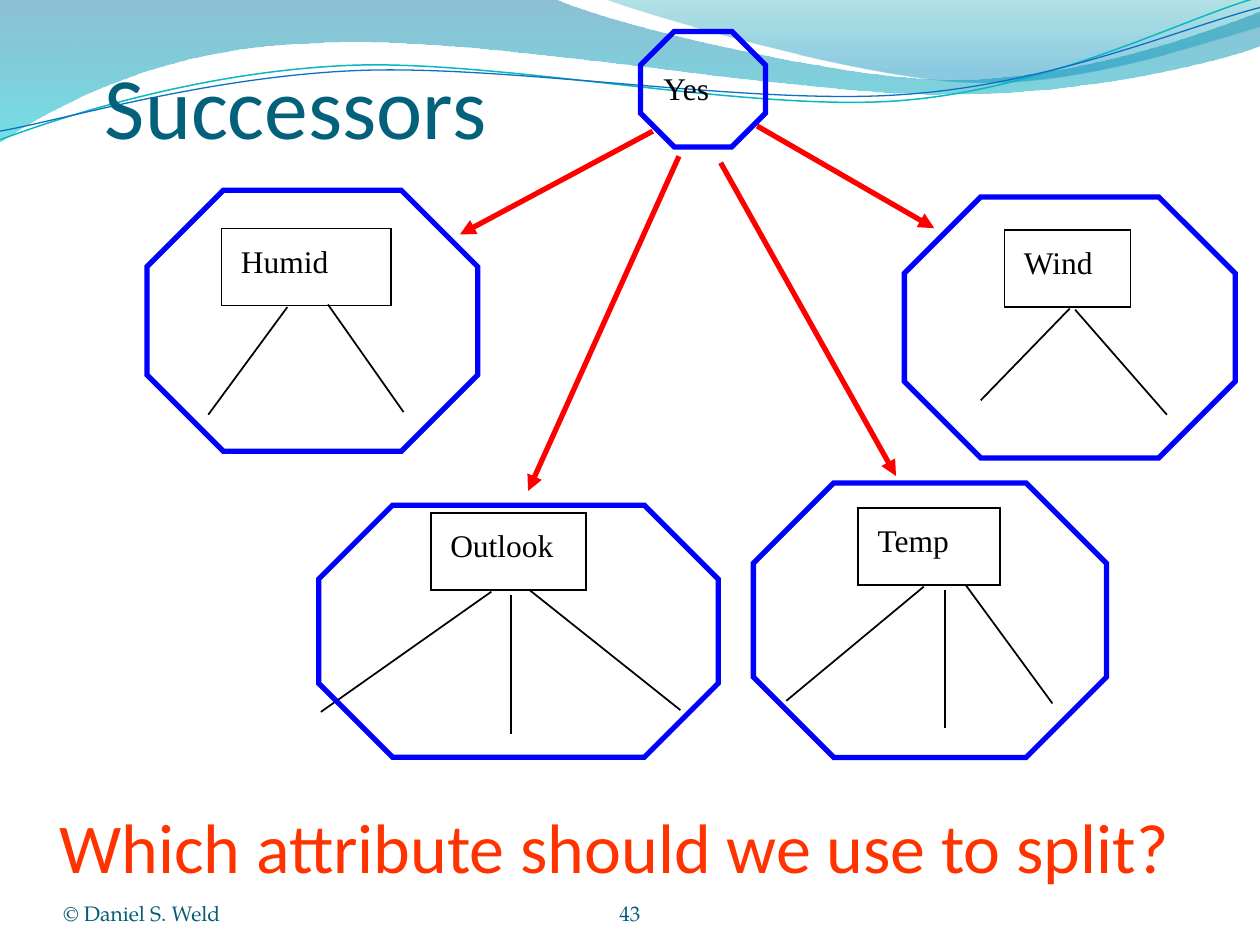
from lxml import etree
from pptx import Presentation
from pptx import util as u
from pptx.dml.color import RGBColor
from pptx.enum import shapes, text
from pptx.oxml.ns import qn

Pt = u.Pt
COLORS = {
    "title": "04617B", "footer": "045D75", "question": "FF3300",
    "ink": "000000", "node": "0000FF", "arrow": "FF0000",
    "deep": "0074A1", "cyan": "00C6CF", "teal": "00A1A9", "sky": "008BBF",
    "thread": "0AB8BF", "blue": "0F6FC6",
}
RGB = {name: RGBColor.from_string(value) for name, value in COLORS.items()}

prs = Presentation()
prs.slide_width, prs.slide_height = Pt(720), Pt(540)
s = prs.slides.add_slide(prs.slide_layouts[6])


def add_text(words, x, y, w, h, size=18, font="Times New Roman", color="ink",
             align="LEFT", anchor="TOP", insets=(7.2, 3.6, 7.2, 3.6), wrap=True):
    tf = s.shapes.add_textbox(Pt(x), Pt(y), Pt(w), Pt(h)).text_frame
    tf.word_wrap = wrap
    tf.vertical_anchor = text.MSO_ANCHOR[anchor]
    tf.margin_left, tf.margin_top, tf.margin_right, tf.margin_bottom = map(Pt, insets)
    p = tf.paragraphs[0]
    p.alignment = text.PP_ALIGN[align]
    r = p.add_run()
    r.text = words
    r.font.size, r.font.name, r.font.color.rgb = Pt(size), font, RGB[color]


def add_line(x1, y1, x2, y2, color="ink", width=1, arrow=False):
    c = s.shapes.add_connector(shapes.MSO_CONNECTOR.STRAIGHT, Pt(x1), Pt(y1), Pt(x2), Pt(y2))
    c.line.color.rgb, c.line.width = RGB[color], Pt(width)
    if arrow:
        etree.SubElement(c.line._get_or_add_ln(), qn("a:tailEnd"), type="triangle")
    etree.SubElement(c._element.spPr, qn("a:effectLst"))


# Waves: start point, then 2 numbers for a line or 6 for a Bezier curve.
# Filled waves have gradient stops (position, colour, opacity %).
waves = [
    dict(start=(0, 0), stops=[(0, "deep", 45), (1, "cyan", 55)], parts=[
        (316.8, -0.7), (342.7, 12.2, 478.1, 45.4, 545.8, 45.4),
        (614.2, 45.4, 689.8, 18.7, 720, 6.5), (720.7, 25.9),
        (707.8, 31.7, 626.4, 54.7, 537.1, 54), (447.8, 54, 275, 20.2, 185, 24.5),
        (92.9, 25.9, 33.1, 59.8, -0.7, 81.4), (0, 0)]),
    dict(start=(344.9, -0.7), stops=[(0, "teal", 30), (0.8, "sky", 45)], parts=[
        (366.5, 7.9, 491, 44.6, 553.7, 46.8), (616.3, 49.7, 691.9, 23, 720, 15.1),
        (720, 0), (344.9, -0.7)]),
    dict(start=(0, 79.9), line=("thread", 0.85), parts=[
        (34.6, 67, 113.8, 41, 199.4, 37.4), (284.4, 33.8, 427, 64.1, 513.4, 57.6),
        (599.8, 51.1, 675.4, 10.8, 718.6, -1.4)]),
    dict(start=(0, 74.9), line=("blue", 0.75), parts=[
        (33.8, 69.1, 118.1, 43.9, 203.8, 40.3), (290.2, 36.7, 429.8, 60.5, 516.2, 54),
        (601.9, 48.2, 677.5, 15.1, 720, 4.3)]),
]
UNITS = 100  # path units per point
for wave in waves:
    filled = "stops" in wave
    points = [(part[i] * UNITS, part[i + 1] * UNITS)
              for part in wave["parts"] for i in range(0, len(part), 2)]
    builder = s.shapes.build_freeform(*(v * UNITS for v in wave["start"]),
                                      scale=Pt(1) / UNITS)
    builder.add_line_segments(points, close=filled)
    sp = builder.convert_to_shape()
    sp.shadow.inherit = False

    # Join each run of three points that belongs to a curve into one Bezier
    segments = iter(list(sp._element.iter(qn("a:lnTo"))))
    for part in wave["parts"]:
        segment = next(segments)
        if len(part) == 6:
            segment.tag = qn("a:cubicBezTo")
            for _ in range(2):
                control = next(segments)
                segment.append(control[0])
                control.getparent().remove(control)

    if filled:
        sp.line.fill.background()
        sp.fill.gradient()
        sp.fill.gradient_angle = 270
        for stop, (position, color, _) in zip(sp.fill.gradient_stops, wave["stops"]):
            stop.position, stop.color.rgb = position, RGB[color]
        for clr, (_, _, opacity) in zip(sp._element.iter(qn("a:srgbClr")), wave["stops"]):
            etree.SubElement(clr, qn("a:alpha"), val=str(opacity * 1000))
    else:
        sp.fill.background()
        color, width = wave["line"]
        sp.line.color.rgb, sp.line.width = RGB[color], Pt(width)

footer = dict(size=12, font="TeX Gyre Pagella", color="footer", anchor="BOTTOM",
              insets=(0, 0, 0, 0))
add_text("Successors", 60, 0, 294, 90, size=50, font="Calibri", color="title",
         anchor="BOTTOM", insets=(0, 3.6, 0, 0))
add_text("© Daniel S. Weld", 36, 500.4, 168, 28.8, **footer)
add_text("43", 246, 500.4, 228, 28.8, align="CENTER", **footer)
add_text("Yes", 372, 36, 52, 36, wrap=False)

for arrow in [(373, 75, 262.8, 134), (432.7, 72, 533.9, 130.4),
              (411.8, 93, 512, 272), (388, 89.3, 301.8, 280.6)]:
    add_line(*arrow, color="arrow", width=3, arrow=True)

# Candidate splits: octagon, attribute box (left, top, width), label width, branches
trees = {
    "Outlook": ((182.2, 288.7, 228.2, 144), (246.2, 293.2, 88.8), 92.9, [
        (280.8, 338.1, 183.4, 406.8), (302.4, 337, 388.8, 405.8), (291.8, 340, 291.8, 419.2)]),
    "Temp": ((430.5, 276, 201.8, 156.8), (490.4, 290.2, 81), 70.6, [
        (527.9, 335.2, 449.3, 400.5), (551.6, 334, 601.4, 402), (540, 337, 540, 416.2)]),
    "Humid": ((84, 108.7, 189, 149.2), (126.6, 130.6, 96.8), 81.4, [
        (164.2, 175.5, 119, 237), (187.4, 174, 230.6, 235.5)]),
    "Wind": ((516.8, 112.5, 189, 149.2), (574, 131.3, 72), 67.7, [
        (611.3, 176.3, 560.4, 228.8), (614.4, 177, 666.8, 237)]),
}
outlines = [(shapes.MSO_SHAPE.OCTAGON, (366, 18, 71.5, 66), "node", 3)]
for attribute, (octagon, (x, y, w), label_width, branches) in trees.items():
    outlines.append((shapes.MSO_SHAPE.RECTANGLE, (x, y, w, 44.1), "ink", 1))
    outlines.append((shapes.MSO_SHAPE.OCTAGON, octagon, "node", 3))
    add_text(attribute, x + 4, y + 4, label_width, 36, wrap=False)
    for branch in branches:
        add_line(*branch)

for kind, box, color, width in outlines:
    sp = s.shapes.add_shape(kind, *map(Pt, box))
    sp.shadow.inherit = False
    sp.fill.background()
    sp.line.color.rgb, sp.line.width = RGB[color], Pt(width)
    etree.SubElement(sp.line._get_or_add_ln(), qn("a:miter"), lim="800000")

add_text("Which attribute should we use to split?", 0, 450, 702, 66, size=40,
         font="Calibri", color="question", align="CENTER", anchor="MIDDLE")

prs.save("out.pptx")
